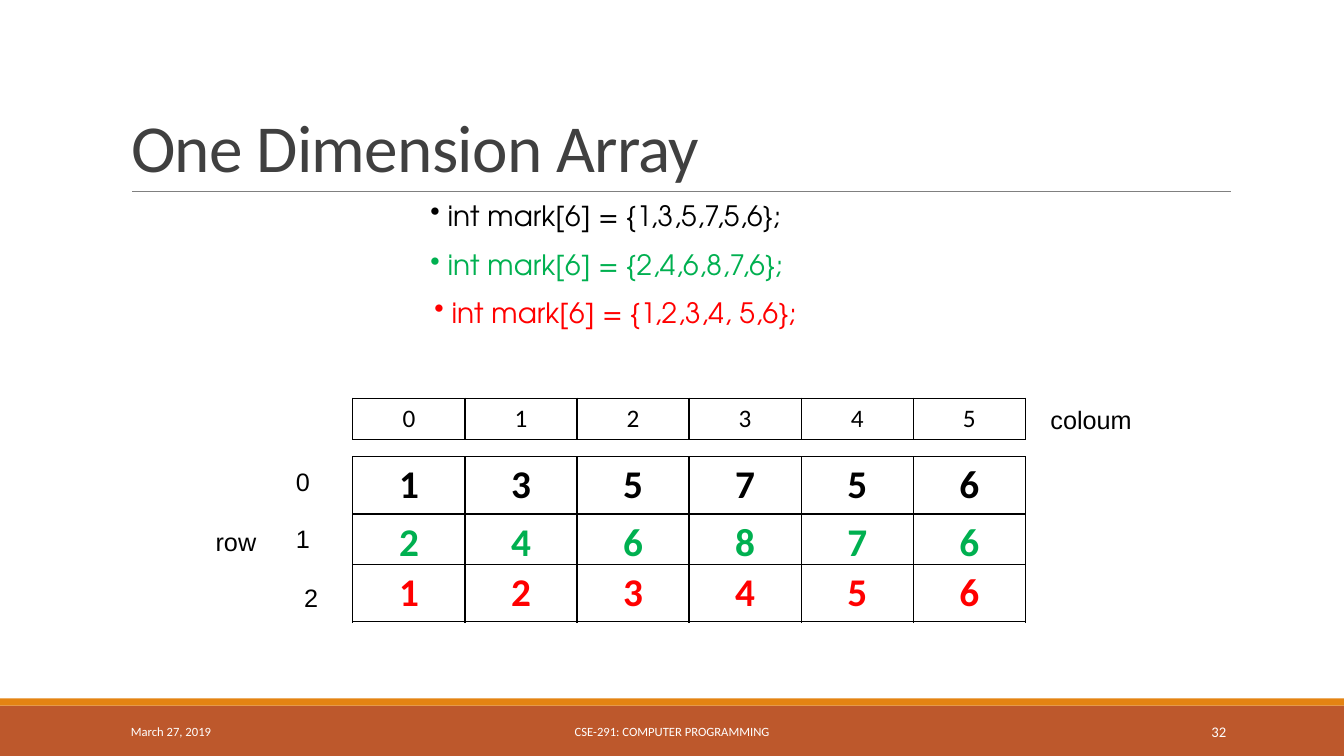
from lxml import etree
from pptx import Presentation
from pptx.dml.color import RGBColor
from pptx.enum.shapes import MSO_CONNECTOR as Connector, MSO_SHAPE as Shape
from pptx.enum.text import MSO_ANCHOR as Anchor, MSO_AUTO_SIZE as AutoSize, PP_ALIGN as Align
from pptx.oxml import parse_xml
from pptx.oxml.ns import nsdecls, qn
from pptx.util import Pt

EMU_PER_PX = 9144
BLACK, GREEN, RED, WHITE = "000000", "00B050", "FF0000", "FFFFFF"
CELL_WIDTH = 111


def px(length):
    return length * EMU_PER_PX


def box_px(*box):
    return [px(length) for length in box]


def color(hex_text):
    return RGBColor.from_string(hex_text)


def style(para, size, font, ink, align=Align.LEFT, bold=False):
    para.alignment = align
    for span in para.runs:
        span.font.size = Pt(size)
        span.font.name = font
        span.font.bold = bold
        span.font.color.rgb = color(ink)


def add_text(page, box, text, size, font, ink, align=Align.LEFT, anchor=Anchor.TOP):
    frame = page.shapes.add_textbox(*box_px(*box)).text_frame
    frame.word_wrap = True
    frame.vertical_anchor = anchor
    frame.text = text
    para = frame.paragraphs[0]
    style(para, size, font, ink, align)
    return para


def add_band(page, box, fill):
    band = page.shapes.add_shape(Shape.RECTANGLE, *box_px(*box))
    band.shadow.inherit = False
    band.fill.solid()
    band.fill.fore_color.rgb = color(fill)
    band.line.fill.background()


def add_title(page, box, text):
    left, top, width, height = box
    title = page.shapes.title
    title.left, title.top, title.width, title.height = box_px(*box)
    frame = title.text_frame
    frame.auto_size = AutoSize.NONE
    frame.vertical_anchor = Anchor.BOTTOM
    frame.text = text
    para = frame.paragraphs[0]
    para.line_spacing = 0.85
    style(para, 48, "Calibri", "404040")
    para.runs[0].font._element.set("spc", "-50")

    bottom = top + height
    rule = page.shapes.add_connector(
        Connector.STRAIGHT, *box_px(left + 11, bottom, left + width + 1, bottom))
    rule.line.color.rgb = color("808080")
    rule.line.width = Pt(0.5)
    etree.SubElement(rule._element.spPr, qn("a:effectLst"))


def add_declaration(page, box, text, ink):
    para = add_text(page, box, text, 20, "TeX Gyre Adventor", ink)
    para.space_before = Pt(4)
    properties = para._p.get_or_add_pPr()
    properties.set("marL", str(px(17)))
    properties.set("indent", str(px(-17)))
    etree.SubElement(properties, qn("a:buChar"), char="•")


def add_borders(cell):
    properties = cell._tc.get_or_add_tcPr()
    for index, side in enumerate(("lnL", "lnR", "lnT", "lnB")):
        properties.insert(index, parse_xml(
            f'<a:{side} {nsdecls("a")} w="12700"><a:solidFill>'
            f'<a:srgbClr val="{BLACK}"/></a:solidFill></a:{side}>'))


def add_array(page, box, values, size, ink, bold):
    """Draw one array as a table with a single row."""
    table = page.shapes.add_table(1, len(values), *box_px(*box)).table
    table.first_row = table.horz_banding = False
    for column, value in enumerate(values):
        table.columns[column].width = px(box[2]) // len(values)
        cell = table.cell(0, column)
        cell.text = value
        cell.fill.solid()
        cell.fill.fore_color.rgb = color(WHITE)
        add_borders(cell)
        style(cell.text_frame.paragraphs[0], size, "Calibri", ink, Align.CENTER, bold)


def add_grid(page, left, top):
    """Place the column indexes, the three arrays and their labels."""
    width = 6 * CELL_WIDTH + 1
    add_array(page, (left, top, width, 41), "012345", 18, BLACK, False)
    arrays = (
        ("135756", BLACK, 58, (-83, 63)),
        ("246876", GREEN, 115, (-83, 119)),
        ("123456", RED, 165, (-75, 178)),
    )
    for row, (values, ink, offset, (label_x, label_y)) in enumerate(arrays):
        add_array(page, (left, top + offset, width, 57), values, 28, ink, True)
        add_text(page, (left + label_x, top + label_y, 67, 42), str(row),
                 18, "Arial", BLACK, Align.CENTER)
    add_text(page, (left + 682, top + 1, 125, 40), "coloum", 18, "Arial", BLACK)
    add_text(page, (left - 146, top + 122, 62, 40), "row", 18, "Arial", BLACK)


def add_footer(page, top, width):
    add_band(page, (0, top + 7, width, 50), "BD582C")
    add_band(page, (0, top, width, 7), "E48312")
    for left, length, text, size, align in (
        (120, 270, "March 27, 2019", 9, Align.LEFT),
        (403, 527, "CSE-291: COMPUTER PROGRAMMING", 9, Align.CENTER),
        (1083, 143, "32", 10.5, Align.RIGHT),
    ):
        add_text(page, (left, top + 13, length, 40), text, size, "Calibri", WHITE,
                 align, Anchor.MIDDLE)


def main():
    deck = Presentation()
    deck.slide_width, deck.slide_height = px(1333), px(750)
    page = deck.slides.add_slide(deck.slide_layouts[5])
    add_footer(page, 693, 1333)
    add_title(page, (120, 31, 1100, 159), "One Dimension Array")
    for left, top, text, ink in (
        (417, 192, "int mark[6] = {1,3,5,7,5,6};", BLACK),
        (417, 241, "int mark[6] = {2,4,6,8,7,6};", GREEN),
        (421, 288, "int mark[6] = {1,2,3,4, 5,6};", RED),
    ):
        add_declaration(page, (left, top, 458, 44), text, ink)
    add_grid(page, 350, 395)
    deck.save("out.pptx")


if __name__ == "__main__":
    main()
